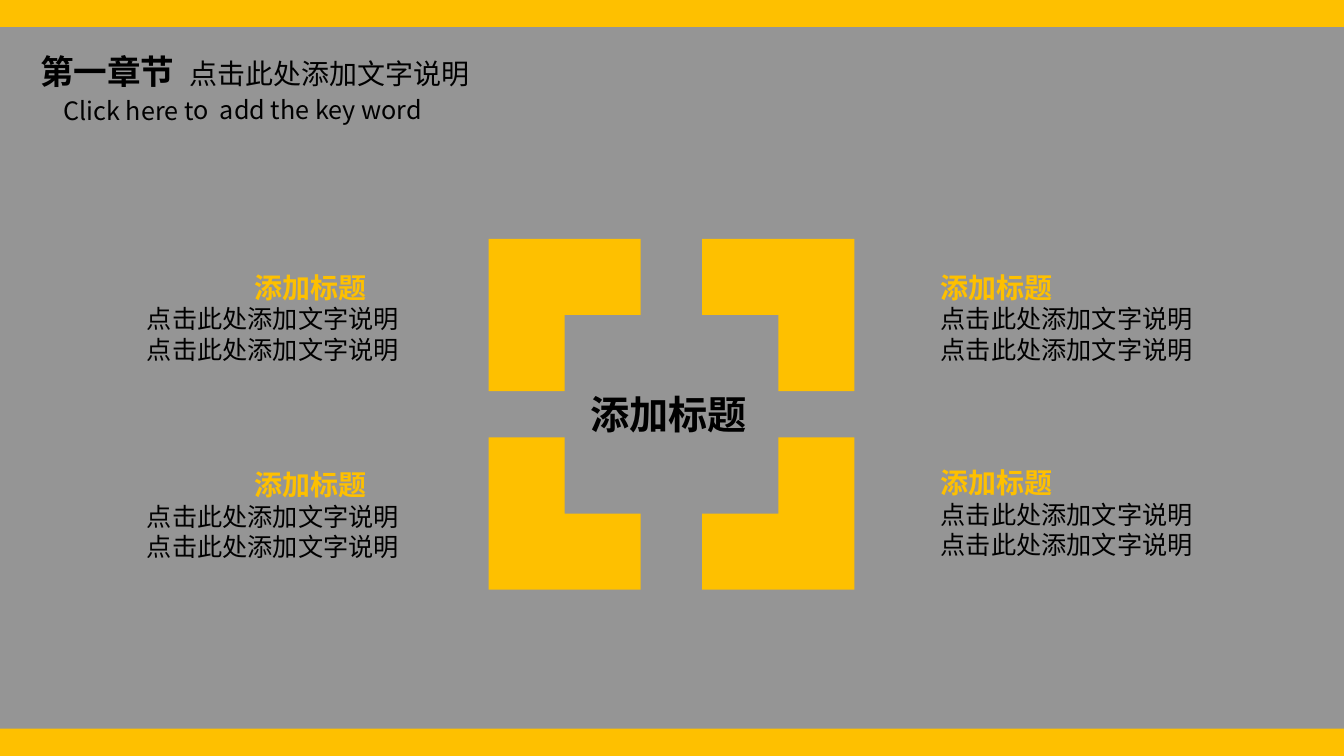
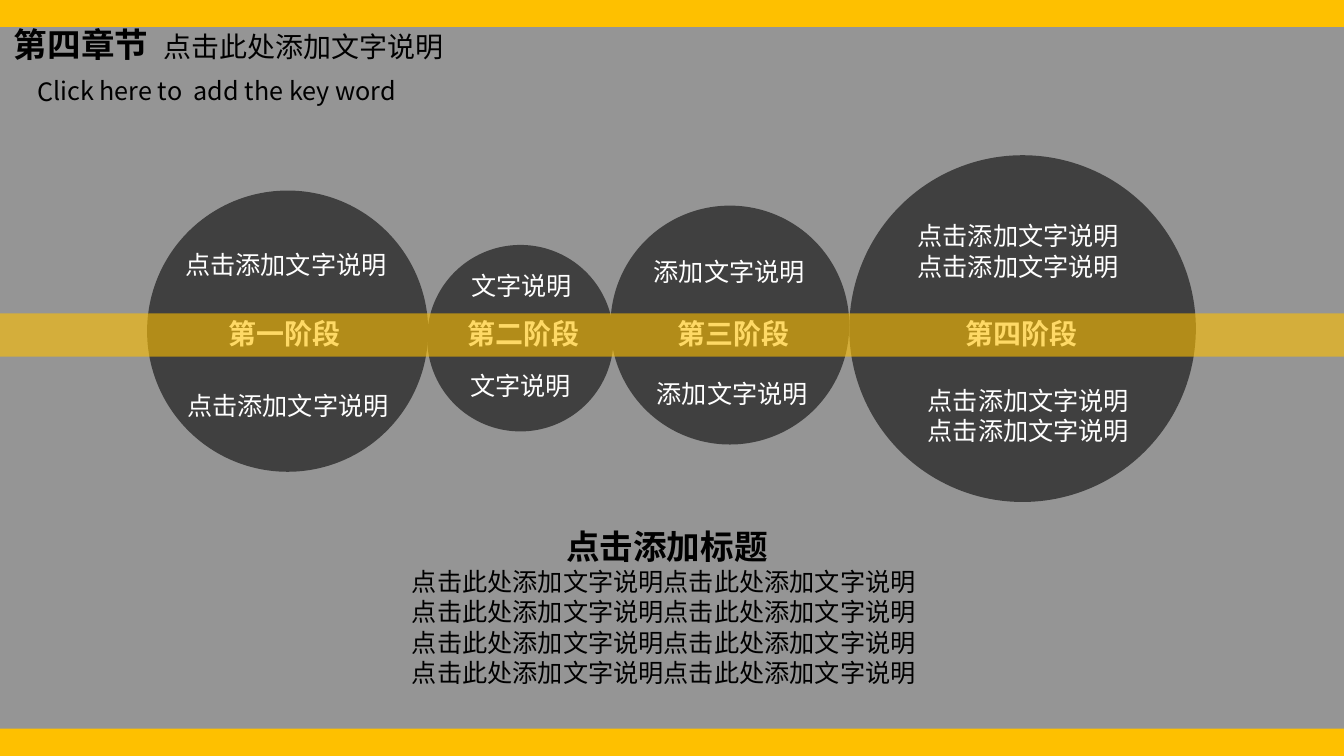
from itertools import product

from lxml.etree import SubElement
from pptx import Presentation
from pptx.dml.color import RGBColor
from pptx.enum.shapes import MSO_SHAPE
from pptx.enum.text import PP_ALIGN
from pptx.oxml.ns import qn
from pptx.util import Inches, Pt

AMBER = RGBColor(0xFE, 0xC0, 0x00)
GREY = RGBColor(0x95, 0x95, 0x95)
CHARCOAL = RGBColor(0x40, 0x40, 0x40)
BLACK = RGBColor(0, 0, 0)
WHITE = RGBColor(255, 255, 255)
FONT = "Noto Sans CJK SC"
WIDTH, HEIGHT, BAND = 13.34, 7.5, 0.27

CHAPTER_NOTE = "点击此处添加文字说明"
CHAPTER_KEYWORD = "Click here to  add the key word"
CHAPTER_TAB = 1.48

TOPIC = "添加标题"
TOPIC_LINES = ["点击此处添加文字说明"] * 2
TOPICS = [
    (1.36, 2.63, 1.07),
    (9.24, 2.63, 0),
    (1.36, 4.59, 1.07),
    (9.24, 4.57, 0),
]
FRAME_LEFT, FRAME_TOP, FRAME_RIGHT, FRAME_BOTTOM = 4.85, 2.37, 8.48, 5.85
ARM, THICKNESS = 1.51, 0.755

STAGE_TOP = 3.09
STAGES = [
    {"name": "第一阶段", "name_left": 2.17, "circle": (1.46, 1.89, 2.79),
     "lines": ["点击添加文字说明"], "notes": [(1.74, 2.42), (1.76, 3.82)]},
    {"name": "第二阶段", "name_left": 4.54, "circle": (4.24, 2.43, 1.85),
     "lines": ["文字说明"], "notes": [(4.58, 2.63), (4.57, 3.62)]},
    {"name": "第三阶段", "name_left": 6.63, "circle": (6.06, 2.04, 2.37),
     "lines": ["添加文字说明"], "notes": [(6.39, 2.49), (6.42, 3.7)]},
    {"name": "第四阶段", "name_left": 9.48, "circle": (8.43, 1.54, 3.44),
     "lines": ["点击添加文字说明"] * 2, "notes": [(9.01, 2.14), (9.11, 3.77)]},
]
SUMMARY = "点击添加标题"
SUMMARY_LINES = ["点击此处添加文字说明点击此处添加文字说明"] * 4


def style(run, size, color, bold=False):
    run.font.size = Pt(size)
    run.font.bold = bold
    run.font.color.rgb = color
    run.font.name = FONT
    SubElement(run.font._element, qn("a:ea")).set("typeface", FONT)


def add_text(slide, left, top, width, height, lines):
    box = slide.shapes.add_textbox(Inches(left), Inches(top), Inches(width), Inches(height))
    frame = box.text_frame
    frame.word_wrap = True
    frame.text = "\n".join(text for text, *_ in lines)
    for paragraph, (_, *look) in zip(frame.paragraphs, lines):
        style(paragraph.runs[0], *look)
    return box


def paint(shape, color):
    shape.fill.solid()
    shape.fill.fore_color.rgb = color
    shape.line.fill.background()
    shape.shadow.inherit = False
    return shape


def add_block(slide, preset, left, top, width, height, color):
    return paint(slide.shapes.add_shape(
        preset, Inches(left), Inches(top), Inches(width), Inches(height)), color)


def add_chapter_slide(prs):
    slide = prs.slides.add_slide(prs.slide_layouts[6])
    add_block(slide, MSO_SHAPE.RECTANGLE, 0, BAND, WIDTH, HEIGHT - 2 * BAND, GREY)
    return slide


def add_chapter_title(slide, chapter, left, top, keyword_top):
    title = add_text(slide, left, top, 4.51, 0.5, [(chapter, 24, BLACK, True)])
    paragraph = title.text_frame.paragraphs[0]
    tabs = SubElement(paragraph._p.get_or_add_pPr(), qn("a:tabLst"))
    SubElement(tabs, qn("a:tab"), pos=str(Inches(CHAPTER_TAB)), algn="l")
    note = paragraph.add_run()
    note.text = "\t" + CHAPTER_NOTE
    style(note, 20, BLACK)
    keyword = add_text(slide, left + 0.23, keyword_top, 4.05, 0.4, [(CHAPTER_KEYWORD, 18, BLACK)])
    keyword.rotation = -0.1


def add_corner(slide, left_side, top_side):
    x, dx = (FRAME_LEFT, 1) if left_side else (FRAME_RIGHT, -1)
    y, dy = (FRAME_TOP, 1) if top_side else (FRAME_BOTTOM, -1)
    outline = [(0, 0), (ARM, 0), (ARM, THICKNESS), (THICKNESS, THICKNESS),
               (THICKNESS, ARM), (0, ARM)]
    points = [(Inches(x + dx * across), Inches(y + dy * down)) for across, down in outline]
    builder = slide.shapes.build_freeform(*points[0])
    builder.add_line_segments(points[1:], close=True)
    paint(builder.convert_to_shape(), AMBER)


def build_topics(prs):
    slide = add_chapter_slide(prs)
    for left_side, top_side in product((True, False), repeat=2):
        add_corner(slide, left_side, top_side)
    for left, top, indent in TOPICS:
        lines = [(TOPIC, 20, AMBER, True)] + [(line, 18, BLACK) for line in TOPIC_LINES]
        box = add_text(slide, left, top, 2.93, 1.04, lines)
        heading = box.text_frame.paragraphs[0]._p.get_or_add_pPr()
        heading.set("marL", str(Inches(indent)))
    add_text(slide, 5.76, 3.82, 1.81, 0.57, [(TOPIC, 28, BLACK, True)])
    add_chapter_title(slide, "第一章节", 0.3, 0.46, 0.89)


def build_stages(prs):
    slide = add_chapter_slide(prs)
    for stage in STAGES:
        left, top, size = stage["circle"]
        add_block(slide, MSO_SHAPE.FLOWCHART_CONNECTOR, left, top, size, size, CHARCOAL)
    for stage in STAGES:
        add_text(slide, stage["name_left"], STAGE_TOP, 1.35, 0.44,
                 [(stage["name"], 20, WHITE, True)])
        lines = [(line, 18, WHITE) for line in stage["lines"]]
        width = len(stage["lines"][0]) * 0.25 + 0.3
        for left, top in stage["notes"]:
            add_text(slide, left, top, width, 0.1 + 0.3 * len(lines), lines)
    summary = add_text(slide, 3.99, 5.17, 5.26, 1.7,
                       [(SUMMARY, 24, BLACK, True)] + [(line, 18, BLACK) for line in SUMMARY_LINES])
    summary.text_frame.paragraphs[0].alignment = PP_ALIGN.CENTER
    ribbon = add_block(slide, MSO_SHAPE.RECTANGLE, 0, 3.11, WIDTH, 0.43, AMBER)
    color = ribbon._element.spPr.find(qn("a:solidFill"))[0]
    SubElement(color, qn("a:alpha"), val="60000")
    add_chapter_title(slide, "第四章节", 0.04, 0.19, 0.7)


def main():
    prs = Presentation()
    prs.slide_width, prs.slide_height = Inches(WIDTH), Inches(HEIGHT)
    backdrop = prs.slide_master.background.fill
    backdrop.solid()
    backdrop.fore_color.rgb = AMBER
    build_topics(prs)
    build_stages(prs)
    prs.save("out.pptx")


if __name__ == "__main__":
    main()
